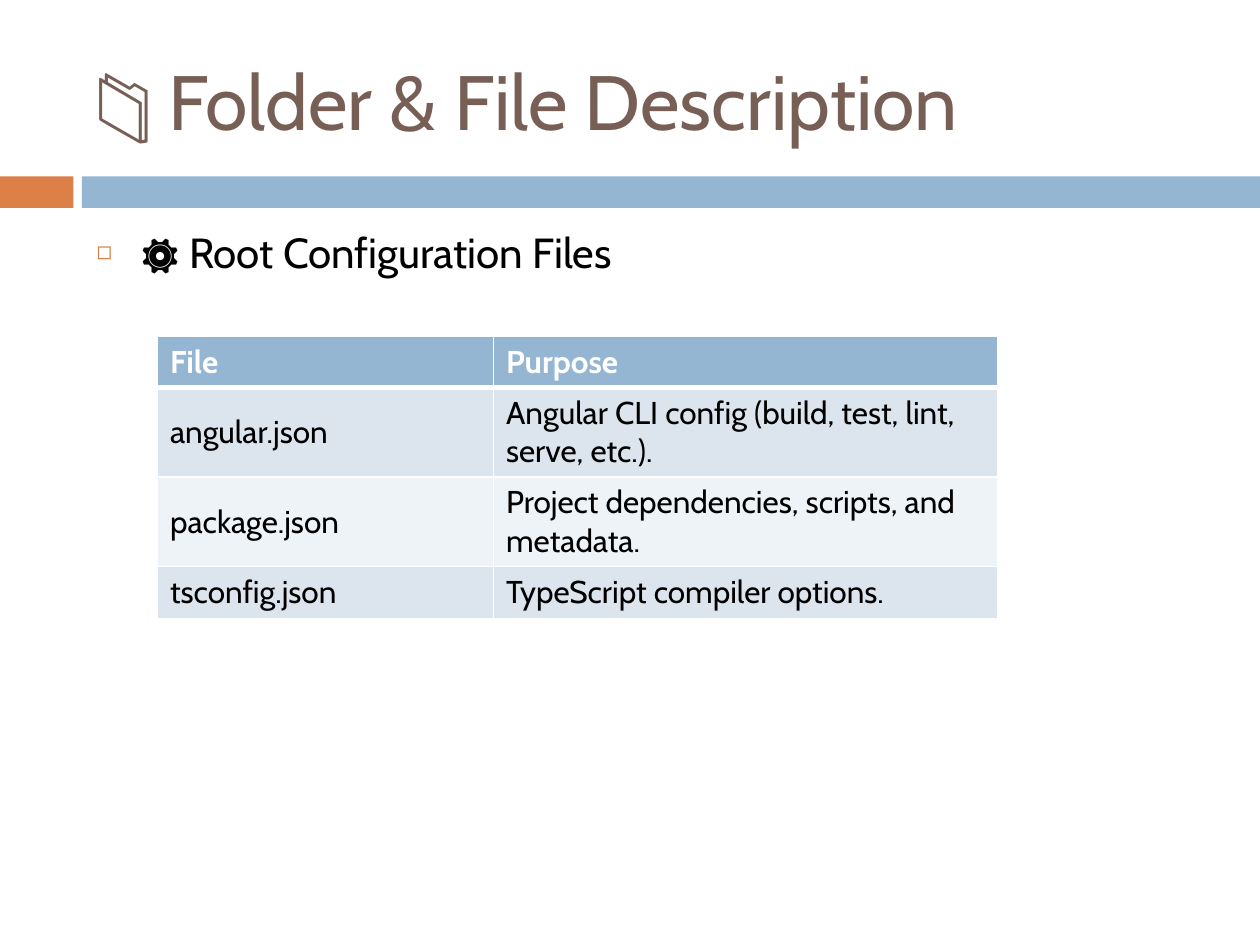
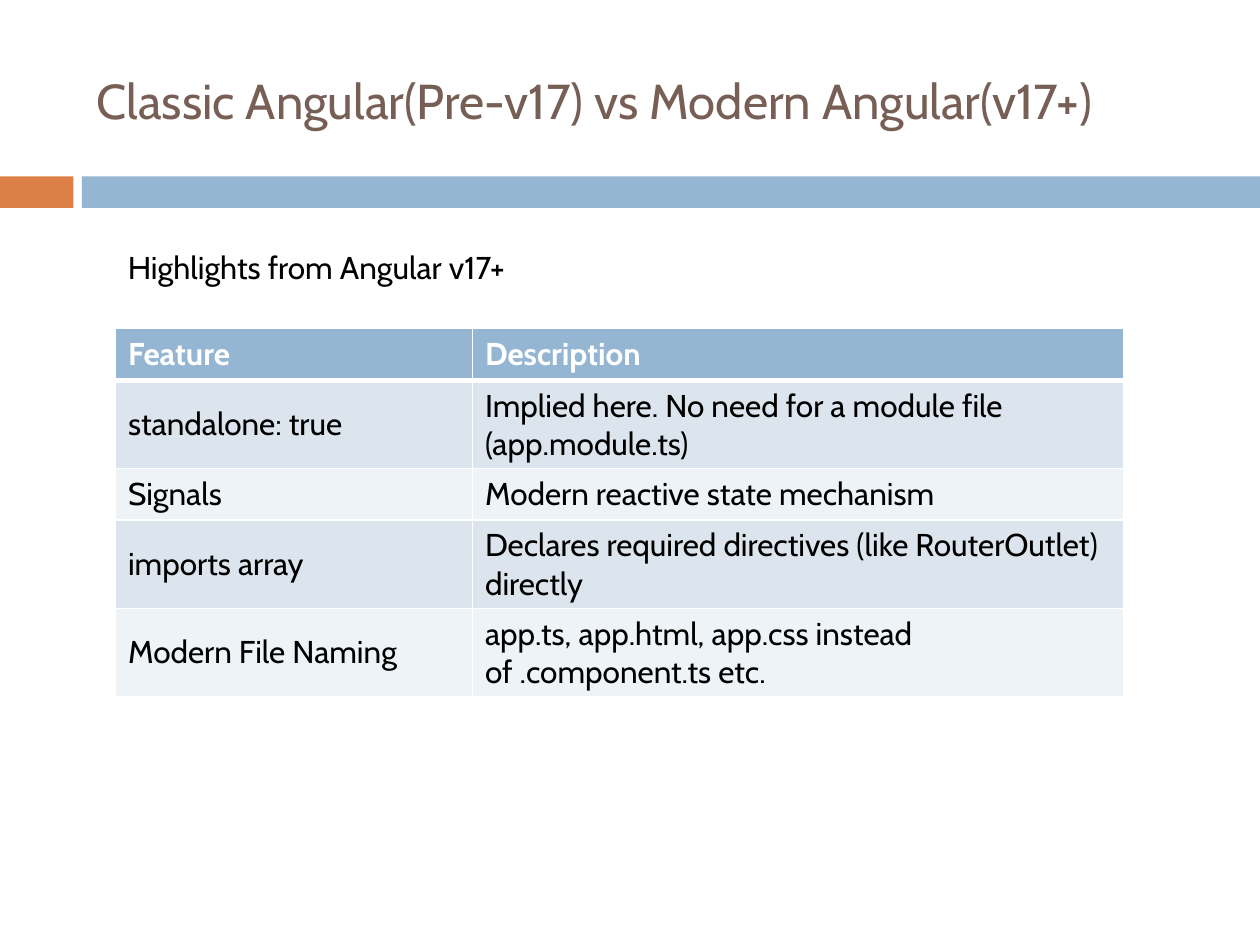
import dataclasses
import pptx
import pptx.dml.color
import pptx.enum.shapes
import pptx.enum.text
import pptx.oxml
import pptx.oxml.ns
import pptx.util
import lxml.etree

COLS, ROWS = 120, 90


@dataclasses.dataclass(frozen=True)
class Theme:
    """Colours, font and type sizes of the deck."""
    font: str = "Cabin"
    brown: str = "775F55"
    orange: str = "DD8047"
    blue: str = "94B6D2"
    pale: str = "DCE5EE"
    mist: str = "EEF3F7"
    white: str = "FFFFFF"
    black: str = "000000"
    large: int = 44
    title: int = 28
    body: int = 24
    text: int = 18


THEME = Theme()
DECK = pptx.Presentation()
DECK.slide_width = pptx.util.Inches(10)
DECK.slide_height = pptx.util.Inches(7.5)
HEAD = (8, 3, 107, 13)
BAND = (0, 16.8, 120, 3)
BODY = (8, 21, 107, 59)


def across(cols):
    """Turn grid columns into a length."""
    return round(DECK.slide_width * cols / COLS)


def down(rows):
    """Turn grid rows into a length."""
    return round(DECK.slide_height * rows / ROWS)


def scale(box):
    """Turn a grid box into left, top, width and height."""
    left, top, width, height = box
    return across(left), down(top), across(width), down(height)


def tint(code):
    """Read a hex colour."""
    return pptx.dml.color.RGBColor.from_string(code)


def place(shape, box):
    """Move a placeholder to a grid box."""
    shape.left, shape.top, shape.width, shape.height = scale(box)


def write(para, text, size, color, bold=False):
    """Add one styled run to a paragraph."""
    run = para.add_run()
    run.text = text
    run.font.name = THEME.font
    run.font.size = pptx.util.Pt(size)
    run.font.bold = bold
    run.font.color.rgb = tint(color)


def child(node, tag, **attrs):
    """Add a drawing element below a node."""
    return lxml.etree.SubElement(node, pptx.oxml.ns.qn(tag), attrs)


def bands(slide, box):
    """Draw the short orange and the long blue band."""
    left, top, width, height = box
    for start, end, color in ((0, 7, THEME.orange), (7.8, width, THEME.blue)):
        part = (left + start, top, end - start, height)
        bar = slide.shapes.add_shape(
            pptx.enum.shapes.MSO_SHAPE.RECTANGLE, *scale(part))
        bar.shadow.inherit = False
        bar.fill.solid()
        bar.fill.fore_color.rgb = tint(color)
        bar.line.fill.background()


def start(layout, title, size):
    """Add a slide with its bands and title."""
    slide = DECK.slides.add_slide(DECK.slide_layouts.get_by_name(layout))
    bands(slide, BAND)
    head = slide.shapes.title
    place(head, HEAD)
    frame = head.text_frame
    frame.auto_size = pptx.enum.text.MSO_AUTO_SIZE.NONE
    frame.vertical_anchor = pptx.enum.text.MSO_ANCHOR.MIDDLE
    para = frame.paragraphs[0]
    para.alignment = pptx.enum.text.PP_ALIGN.LEFT
    write(para, title, size, THEME.brown)
    return slide


def bullet(slide, box, text):
    """Fill the body placeholder with one bullet."""
    body = slide.placeholders[1]
    place(body, box)
    body.text_frame.auto_size = pptx.enum.text.MSO_AUTO_SIZE.NONE
    para = body.text_frame.paragraphs[0]
    para.space_before = pptx.util.Pt(0)
    props = para._p.get_or_add_pPr()
    indent = pptx.util.Inches(0.35)
    props.set("marL", str(indent))
    props.set("indent", str(-indent))
    child(child(props, "a:buClr"), "a:srgbClr", val=THEME.orange)
    child(props, "a:buSzPct", val="60000")
    child(props, "a:buChar", char="◻")
    write(para, text, THEME.body, THEME.black)


def note(slide, box, text):
    """Add a line of plain text."""
    label = slide.shapes.add_textbox(*scale(box))
    frame = label.text_frame
    frame.word_wrap = True
    frame.auto_size = pptx.enum.text.MSO_AUTO_SIZE.SHAPE_TO_FIT_TEXT
    write(frame.paragraphs[0], text, THEME.text, THEME.black)


def border(cell, top, bottom):
    """Set white cell borders, with widths in points."""
    props = cell._tc.get_or_add_tcPr()
    for tag, width in (("L", 1), ("R", 1), ("T", top), ("B", bottom)):
        line = child(props, "a:ln" + tag, w=str(pptx.util.Pt(width)))
        child(child(line, "a:solidFill"), "a:srgbClr", val=THEME.white)


def grid(slide, spot, widths, rows):
    """Draw a banded table at a grid spot."""
    high = 4.92
    box = (*spot, sum(widths), high * len(rows))
    table = slide.shapes.add_table(
        len(rows), len(widths), *scale(box)).table
    for column, width in zip(table.columns, widths):
        column.width = across(width)
    for i, row in enumerate(rows):
        table.rows[i].height = down(high)
        first = i == 0
        fill = THEME.blue if first else (THEME.mist, THEME.pale)[i % 2]
        color = THEME.white if first else THEME.black
        for j, text in enumerate(row):
            cell = table.cell(i, j)
            cell.vertical_anchor = pptx.enum.text.MSO_ANCHOR.MIDDLE
            border(cell, 3 if i == 1 else 1, 3 if first else 1)
            cell.fill.solid()
            cell.fill.fore_color.rgb = tint(fill)
            write(cell.text_frame.paragraphs[0], text, THEME.text, color, first)


def files():
    """Build the slide on root files."""
    slide = start("Title and Content", "📁 Folder & File Description",
                  THEME.large)
    bullet(slide, BODY, "⚙️ Root Configuration Files")
    grid(slide, (15, 32), (32, 48), (
        ("File", "Purpose"),
        ("angular.json", "Angular CLI config (build, test, lint, serve, etc.)."),
        ("package.json", "Project dependencies, scripts, and metadata."),
        ("tsconfig.json", "TypeScript compiler options."),
    ))


def modern():
    """Build the slide on modern features."""
    slide = start("Title Only",
                  "Classic Angular(Pre-v17) vs Modern Angular(v17+)",
                  THEME.title)
    note(slide, (11, 23, 60, 4.8), "Highlights from Angular v17+")
    grid(slide, (11, 31.3), (34, 62), (
        ("Feature", "Description"),
        ("standalone: true",
         "Implied here. No need for a module file (app.module.ts)"),
        ("Signals", "Modern reactive state mechanism"),
        ("imports array",
         "Declares required directives (like RouterOutlet) directly"),
        ("Modern File Naming",
         "app.ts, app.html, app.css instead of .component.ts etc."),
    ))


def main():
    """Build and save the deck."""
    files()
    modern()
    DECK.save("out.pptx")


if __name__ == "__main__":
    main()
